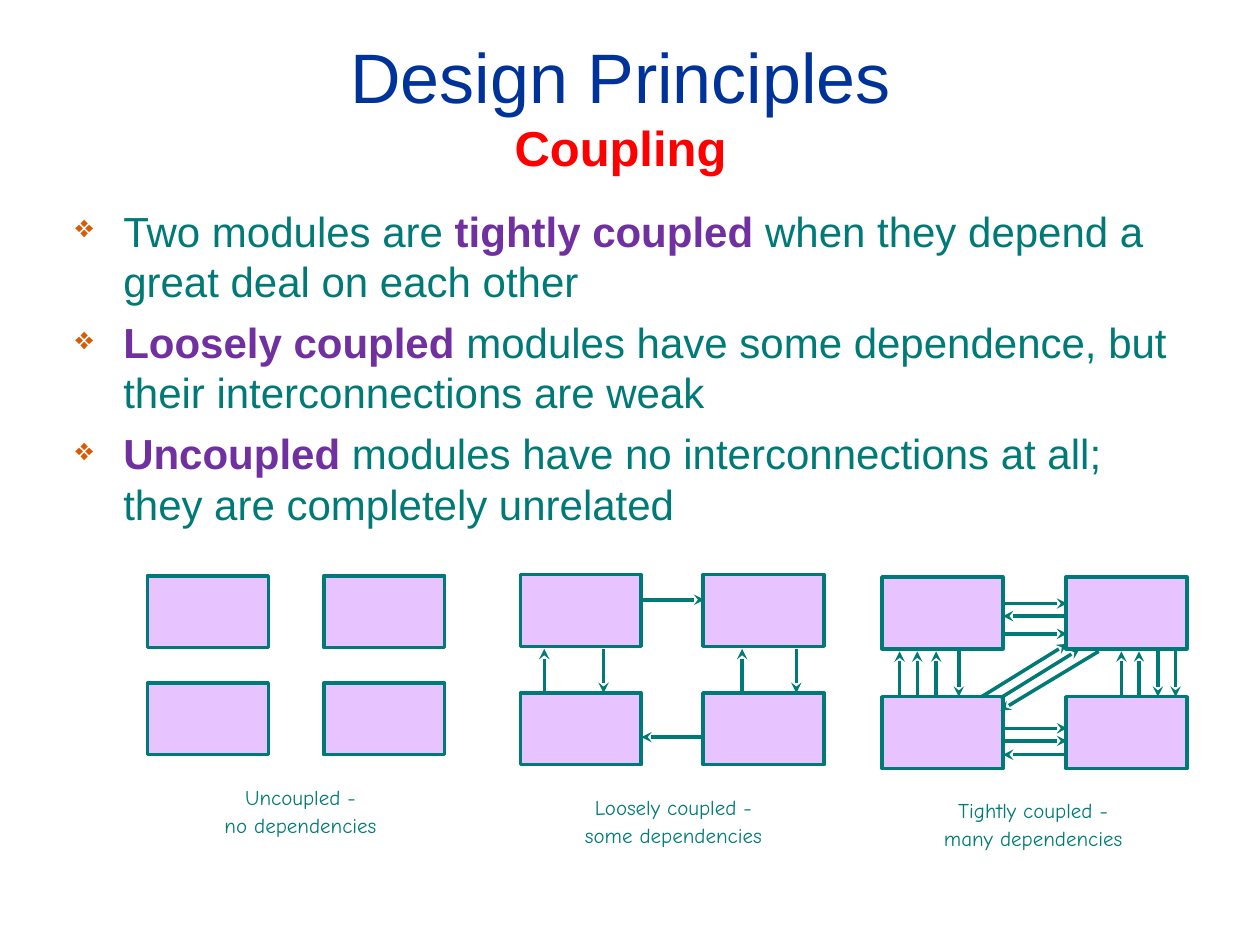
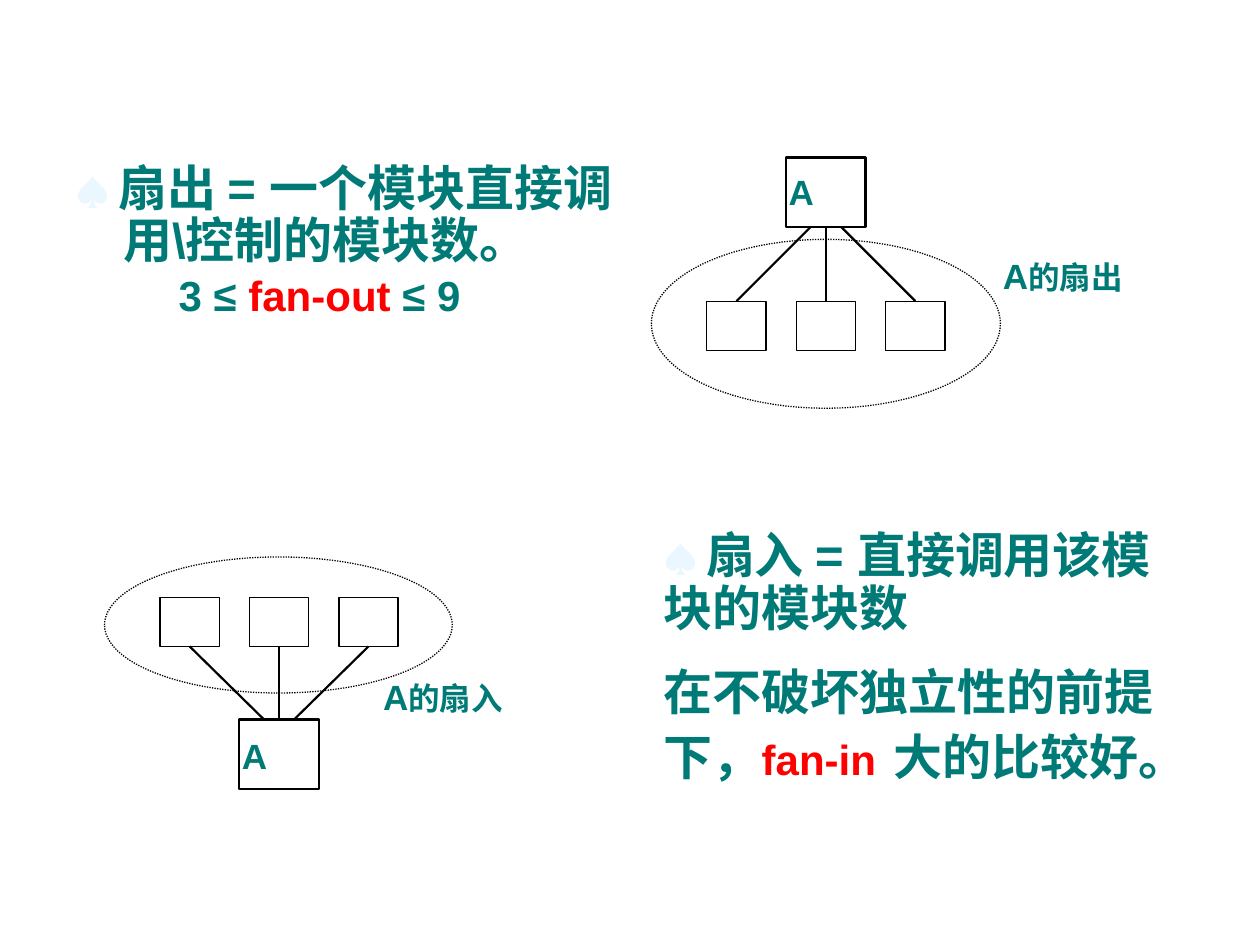
from lxml.etree import SubElement
from pptx import Presentation
from pptx.dml.color import RGBColor
from pptx.enum.dml import MSO_LINE
from pptx.enum.shapes import MSO_CONNECTOR, MSO_SHAPE
from pptx.enum.text import MSO_ANCHOR, PP_ALIGN
from pptx.oxml.ns import qn
from pptx.util import Inches, Pt


class Theme:
    font, caption_font = "Arial", "Comic Neue"
    teal = RGBColor.from_string("007A77")
    navy = RGBColor.from_string("003399")
    red = RGBColor.from_string("FF0000")
    purple = RGBColor.from_string("7030A0")
    lilac = RGBColor.from_string("E7C4FF")
    pale = RGBColor.from_string("EBF7FF")
    black = RGBColor.from_string("000000")
    white = RGBColor.from_string("FFFFFF")
    bullet = "DC5900"
    title, heading, body, letter, label, caption = 40, 28, 24, 20, 18, 12


def write(frame, paragraphs, size, color=Theme.teal, font=Theme.font, bold=False,
          align=PP_ALIGN.LEFT, leading=1.0, gap=0, insets=(0.1, 0.05),
          anchor=MSO_ANCHOR.TOP, wrap=True, hanging=0, bullet=None):
    """Fill a frame; each paragraph is a list of (text, font overrides) runs."""
    frame.word_wrap, frame.vertical_anchor = wrap, anchor
    frame.margin_left = frame.margin_right = Inches(insets[0])
    frame.margin_top = frame.margin_bottom = Inches(insets[1])
    for number, runs in enumerate(paragraphs):
        paragraph = frame.add_paragraph() if number else frame.paragraphs[0]
        paragraph.alignment, paragraph.line_spacing = align, leading
        paragraph.space_before = Pt(gap if number else 0)
        properties = paragraph._p.get_or_add_pPr()
        properties.set("marL", str(Inches(hanging)))
        properties.set("indent", str(-Inches(hanging)))
        if bullet:
            tint = SubElement(properties, qn("a:buClr"))
            SubElement(tint, qn("a:srgbClr"), val=Theme.bullet)
            SubElement(properties, qn("a:buSzPct"), val="75000")
            SubElement(properties, qn("a:buChar"), char=bullet)
        paragraph.font.name, paragraph.font.size = font, Pt(size)
        paragraph.font.bold, paragraph.font.color.rgb = bold, color
        for text, changes in runs:
            if text == "\n":
                paragraph.add_line_break()
                continue
            run = paragraph.add_run()
            run.text = text
            if "size" in changes:
                run.font.size = Pt(changes["size"])
            if "color" in changes:
                run.font.color.rgb = changes["color"]
            if "bold" in changes:
                run.font.bold = changes["bold"]


def outline(item, color, width):
    """Give a shape or connector a plain line and no shadow."""
    item.line.color.rgb, item.line.width = color, Pt(width)
    SubElement(item._element.spPr, qn("a:effectLst"))


deck = Presentation()
deck.slide_width, deck.slide_height = Inches(10), Inches(7.5)
blank = deck.slide_layouts[6]

# Slide 1: heading
coupling = deck.slides.add_slide(blank)
heading = coupling.shapes.add_textbox(*map(Inches, (0.43, 0.21, 8.99, 1.24)))
write(heading.text_frame,
      [[("Design Principles", {}), ("\n", {}),
        ("Coupling", {"size": Theme.heading, "color": Theme.red, "bold": True})]],
      Theme.title, Theme.navy, align=PP_ALIGN.CENTER, anchor=MSO_ANCHOR.MIDDLE)

# Slide 1: definitions
term = {"color": Theme.purple, "bold": True}
definitions = coupling.shapes.add_textbox(*map(Inches, (0.5, 1.58, 8.99, 2.8)))
write(definitions.text_frame, [
    [("Two modules are ", {}), ("tightly coupled ", term),
     ("when they depend a great deal on each other", {})],
    [("Loosely coupled ", term),
     ("modules have some dependence, but their interconnections are weak", {})],
    [("Uncoupled ", term),
     ("modules have no interconnections at all; they are completely unrelated", {})],
], Theme.body, gap=6, hanging=0.38, bullet="❖")

# Slide 1: three degrees of coupling, each a 2 x 2 grid of modules
# across: (y, points right); upright: (x, points up); slanted: start and tip
module_width, module_height = 0.96, 0.57
degrees = [
    {"columns": (7, 8.46), "rows": (4.58, 5.53),
     "across": [(4.79, True), (5.03, True), (4.89, False),
                (5.78, True), (5.99, False), (5.88, True)],
     "upright": [(8.9, True), (9.04, True), (9.19, False), (9.33, False),
                 (7.14, True), (7.28, True), (7.43, True), (7.61, False)],
     "slanted": [((7.79, 5.53), (8.47, 5.11)), ((7.94, 5.54), (8.57, 5.15)),
                 ((8.72, 5.17), (7.94, 5.64))],
     "caption": ("Tightly coupled -", "many dependencies"),
     "caption_box": (7.49, 6.35, 1.42, 0.4)},
    {"columns": (4.13, 5.58), "rows": (4.56, 5.5),
     "across": [(4.76, True), (5.85, False)],
     "upright": [(5.89, True), (6.32, False), (4.32, True), (4.79, False)],
     "slanted": [],
     "caption": ("Loosely coupled -", "some dependencies"),
     "caption_box": (4.64, 6.33, 1.41, 0.4)},
    {"columns": (1.17, 2.57), "rows": (4.57, 5.42),
     "across": [], "upright": [], "slanted": [],
     "caption": ("Uncoupled -", "no dependencies"),
     "caption_box": (1.78, 6.25, 1.21, 0.4)},
]
for degree in degrees:
    for top in degree["rows"]:
        for left in degree["columns"]:
            module = coupling.shapes.add_shape(
                MSO_SHAPE.RECTANGLE,
                *map(Inches, (left, top, module_width, module_height)))
            module.fill.solid()
            module.fill.fore_color.rgb = Theme.lilac
            outline(module, Theme.teal, 2)

    dependencies = list(degree["slanted"])
    west, east = degree["columns"][0] + module_width, degree["columns"][1] + 0.01
    for y, rightward in degree["across"]:
        ends = ((west, y), (east, y))
        dependencies.append(ends if rightward else ends[::-1])
    north, south = degree["rows"][0] + module_height + 0.02, degree["rows"][1]
    for x, upward in degree["upright"]:
        ends = ((x, south), (x, north))
        dependencies.append(ends if upward else ends[::-1])
    for start, tip in dependencies:
        arrow = coupling.shapes.add_connector(
            MSO_CONNECTOR.STRAIGHT, *map(Inches, start + tip))
        outline(arrow, Theme.teal, 2)
        SubElement(arrow.line._get_or_add_ln(), qn("a:tailEnd"), type="stealth")

    caption = coupling.shapes.add_textbox(*map(Inches, degree["caption_box"]))
    write(caption.text_frame, [[(line, {})] for line in degree["caption"]],
          Theme.caption, font=Theme.caption_font, align=PP_ALIGN.CENTER, leading=0.9,
          gap=3, insets=(0, 0), anchor=MSO_ANCHOR.MIDDLE, wrap=False)

# Slide 2: fan-out definition
fans = deck.slides.add_slide(blank)
spade = {"size": Theme.letter, "color": Theme.pale}
fan_out = fans.shapes.add_textbox(*map(Inches, (0.5, 1.25, 4.5, 1.42)))
write(fan_out.text_frame, [
    [("♠ ", spade), ("扇出 = 一个模块直接调用\\控制的模块数。", {})],
    [("3 ≤ ", {"size": Theme.body}),
     ("fan-out ", {"size": Theme.body, "color": Theme.red}),
     ("≤ 9", {"size": Theme.body})],
], Theme.heading, bold=True, leading=0.9, gap=3, hanging=0.38)
limits = fan_out.text_frame.paragraphs[1]._p.get_or_add_pPr()
limits.set("marL", str(Inches(0.82)))
limits.set("indent", "0")

# Slide 2: module A with three modules below it (fan-out) or above it (fan-in)
# Sides: 0 top, 2 bottom
diagrams = [
    {"hub": (6.24, 1.25), "first": (5.61, 2.39), "hub_side": 2, "other_side": 0,
     "ring": (5.17, 1.9, 2.77, 1.34), "leading": 1.2,
     "label": "的扇出", "label_box": (7.94, 1.9, 1.46, 0.65), "label_inset": 0.05},
    {"hub": (1.9, 5.71), "first": (1.27, 4.74), "hub_side": 0, "other_side": 2,
     "ring": (0.83, 4.42, 2.76, 1.08), "leading": 1.25,
     "label": "的扇入", "label_box": (3.02, 5.28, 1.31, 0.43), "label_inset": 0},
]
hub_size, other_size, other_step = (0.63, 0.55), (0.47, 0.39), 0.71
for diagram in diagrams:
    first_x, first_y = diagram["first"]
    boxes = [(MSO_SHAPE.RECTANGLE, diagram["hub"] + hub_size, 1.25)]
    boxes += [(MSO_SHAPE.RECTANGLE, (first_x + i * other_step, first_y) + other_size, 0.75)
              for i in range(3)]
    boxes.append((MSO_SHAPE.OVAL, diagram["ring"], 0.75))
    drawn = []
    for kind, box, width in boxes:
        part = fans.shapes.add_shape(kind, *map(Inches, box))
        outline(part, Theme.black, width)
        if kind == MSO_SHAPE.OVAL:
            part.fill.background()
            part.line.dash_style = MSO_LINE.ROUND_DOT
        else:
            part.fill.solid()
            part.fill.fore_color.rgb = Theme.white
        drawn.append(part)
    hub, *others, ring = drawn
    write(hub.text_frame, [[("A", {})]], Theme.letter, bold=True,
          leading=diagram["leading"], insets=(0.02, 0.04))

    # Calls between A and the three modules
    hub_x = diagram["hub"][0] + hub_size[0] / 2
    hub_y = diagram["hub"][1] + (hub_size[1] if diagram["hub_side"] == 2 else 0)
    for i, other in enumerate(others):
        call = fans.shapes.add_connector(
            MSO_CONNECTOR.STRAIGHT, Inches(hub_x + (i - 1) * 0.12), Inches(hub_y),
            other.left, other.top)
        call.end_connect(other, diagram["other_side"])
        if i == 1:
            call.begin_connect(hub, diagram["hub_side"])
        outline(call, Theme.black, 1.25)

    label = fans.shapes.add_textbox(*map(Inches, diagram["label_box"]))
    write(label.text_frame, [[("A", {}), (diagram["label"], {"size": Theme.label})]],
          Theme.letter, bold=True, align=PP_ALIGN.JUSTIFY, leading=diagram["leading"],
          insets=(0.02, diagram["label_inset"]))

# Slide 2: fan-in definition
fan_in = fans.shapes.add_textbox(*map(Inches, (5.17, 4.17, 4.25, 2.15)))
write(fan_in.text_frame, [
    [("♠", spade), (" ", {"size": Theme.label}), ("扇入 = 直接调用该模块的模块数", {})],
    [("在不破坏独立性的前提下，", {}),
     ("fan-in", {"size": Theme.body, "color": Theme.red}),
     (" ", {"size": 36}), ("大的比较好。", {})],
], Theme.heading, bold=True, leading=0.9, gap=17.5)

deck.save("out.pptx")
